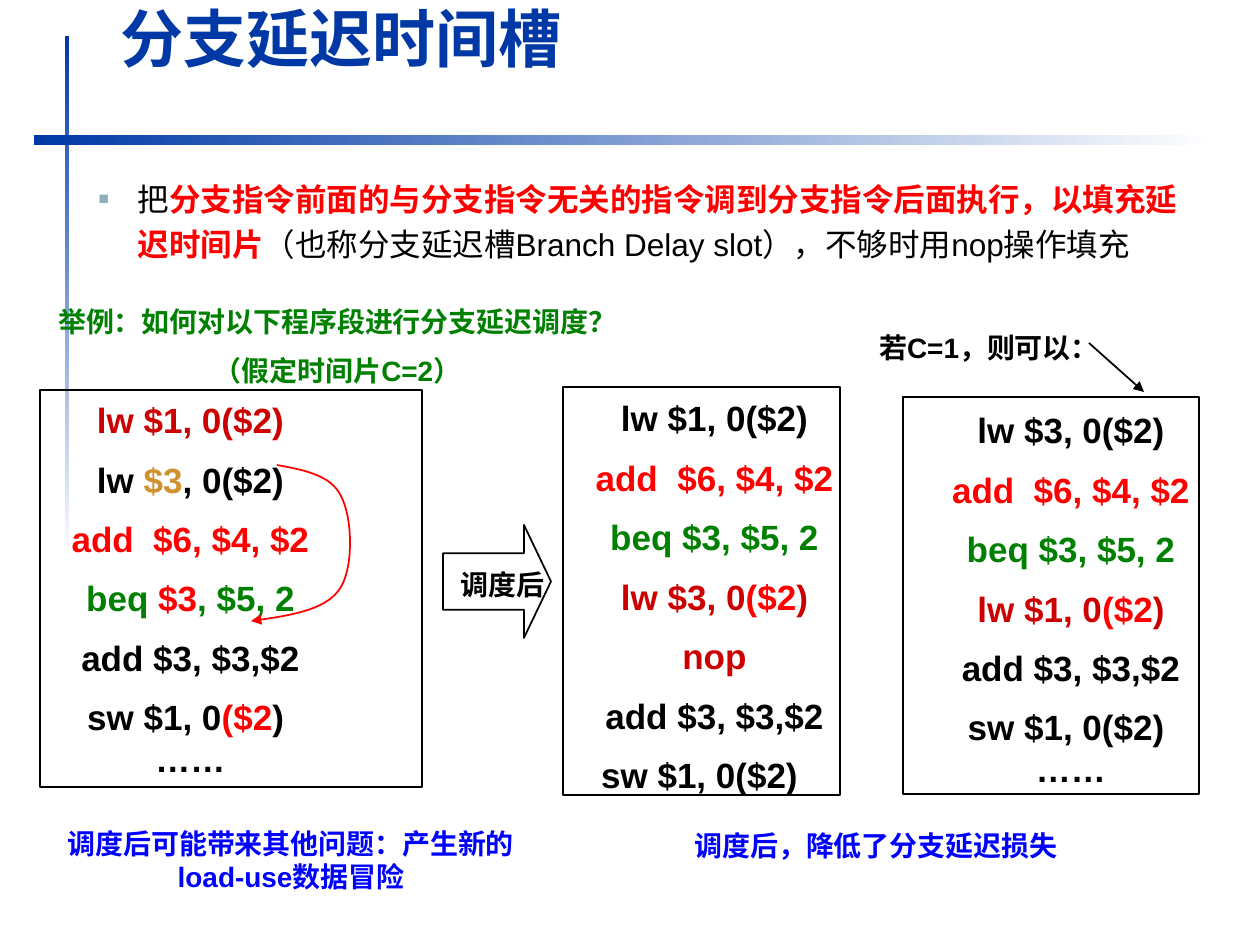
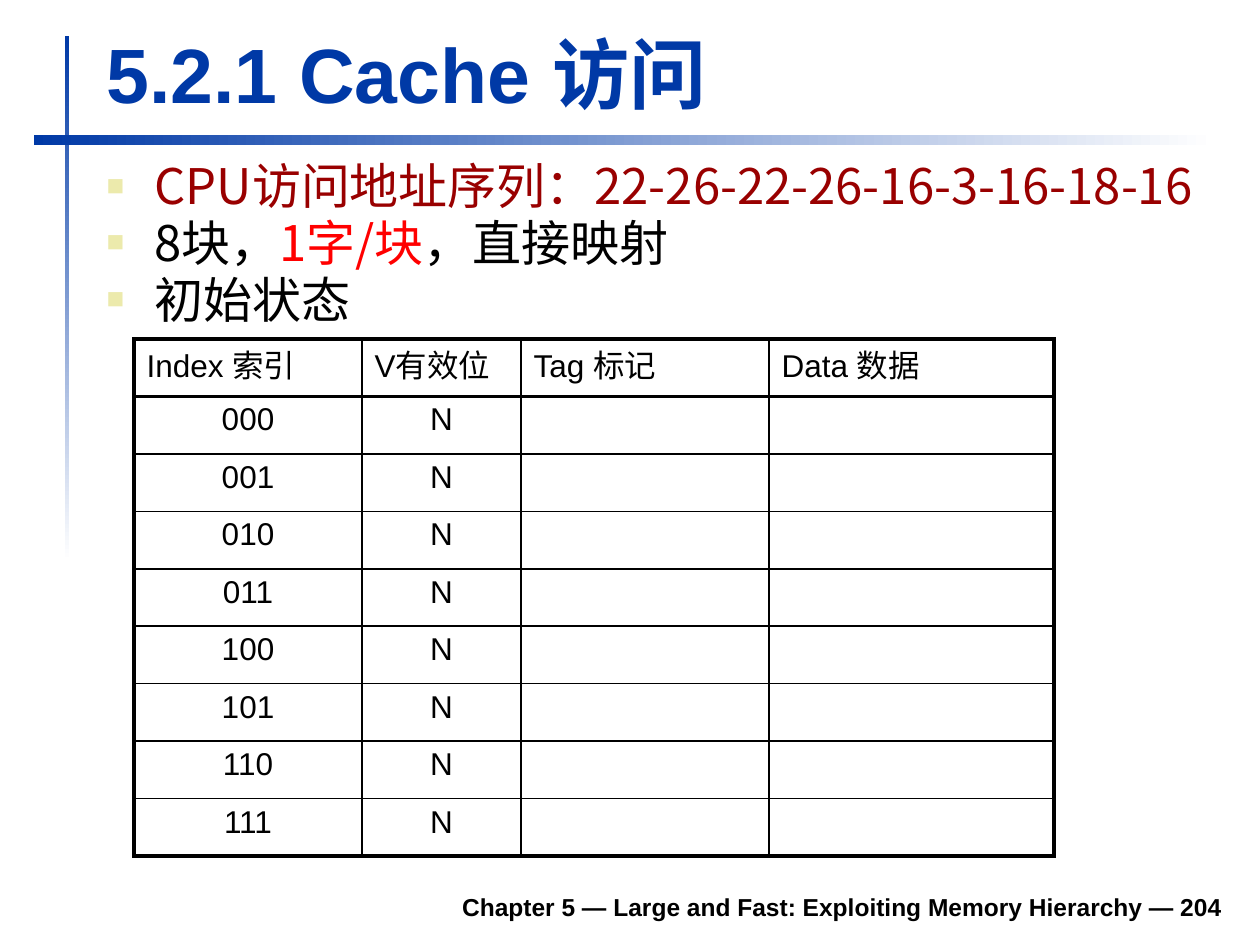
from lxml import etree
from pptx import Presentation
from pptx import util as u
from pptx.dml.color import RGBColor
from pptx.enum import shapes, text
from pptx.oxml.ns import qn

BLUE = RGBColor(0x00, 0x39, 0xA6)
WHITE = RGBColor(0xFF, 0xFF, 0xFF)
BLACK = RGBColor(0x00, 0x00, 0x00)
RED = RGBColor(0xFF, 0x00, 0x00)
DARK_RED = RGBColor(0xCC, 0x00, 0x00)
MAROON = RGBColor(0x99, 0x00, 0x00)
GREEN = RGBColor(0x00, 0x80, 0x00)
GOLD = RGBColor(0xCF, 0x92, 0x2F)
NOTE_BLUE = RGBColor(0x00, 0x00, 0xFF)
BULLET_GREY = RGBColor(0x91, 0xAF, 0xBF)
BULLET_CREAM = RGBColor(0xEC, 0xEA, 0xAC)

SANS = "Arial"
CJK_SANS = "Noto Sans CJK SC"
CENTER = text.PP_ALIGN.CENTER
DOTS = "……"

ADD_6 = [("add  $6, $4, $2", RED)]
ADD_3 = "add $3, $3,$2"
BEQ = [("beq $3, $5, 2", GREEN)]


def px(length):
    return u.Emu(round(length * 914400 / 126))


def child(parent, tag, **attributes):
    element = etree.SubElement(parent, qn(tag))
    for name, value in attributes.items():
        element.set(name, str(value))
    return element


def add_bullet(paragraph, color, percent, left, hanging):
    properties = paragraph._p.get_or_add_pPr()
    properties.set("marL", str(px(left)))
    properties.set("indent", str(-px(hanging)))
    child(child(properties, "a:buClr"), "a:srgbClr", val=color)
    child(properties, "a:buSzPct", val=percent * 1000)
    child(properties, "a:buFont", typeface="Arial")
    child(properties, "a:buChar", char="■")


def write(frame, paragraphs, size=18, color=BLACK, bold=False, font=SANS,
          align=text.PP_ALIGN.LEFT, spacing=1.0, before=0, bullet=None,
          anchor=text.MSO_ANCHOR.TOP):
    frame.word_wrap = True
    frame.auto_size = text.MSO_AUTO_SIZE.NONE
    frame.vertical_anchor = anchor
    for index, runs in enumerate(paragraphs):
        paragraph = frame.add_paragraph() if index else frame.paragraphs[0]
        if bullet:
            add_bullet(paragraph, *bullet)
        paragraph.alignment = align
        paragraph.line_spacing = spacing
        paragraph.space_before = u.Pt(before if index else 0)
        for content, *style in [(runs,)] if isinstance(runs, str) else runs:
            run = paragraph.add_run()
            run.text = content
            run.font.size = u.Pt(size)
            run.font.name = font
            run.font.color.rgb = style[0] if style else color
            run.font.bold = style[1] if len(style) > 1 else bold
            child(run.font._element, "a:ea", typeface=font)


def add_text(slide, box, paragraphs, **style):
    shape = slide.shapes.add_textbox(*map(px, box))
    write(shape.text_frame, paragraphs, **style)
    return shape


def fill_placeholder(shape, box, paragraphs, **style):
    shape.left, shape.top, shape.width, shape.height = map(px, box)
    write(shape.text_frame, paragraphs, **style)


def add_title(slide, box, title, size):
    fill_placeholder(slide.shapes.title, box, [title], size=size, color=BLUE,
                     bold=True, anchor=text.MSO_ANCHOR.BOTTOM)


def add_band(slide, box, angle):
    band = slide.shapes.add_shape(shapes.MSO_SHAPE.RECTANGLE, *map(px, box))
    band.shadow.inherit = False
    band.line.fill.background()
    band.fill.gradient()
    band.fill.gradient_angle = angle
    for stop, color in zip(band.fill.gradient_stops, (BLUE, WHITE)):
        stop.color.rgb = color
    slide.shapes.element.remove(band.element)
    slide.shapes.element.insert(2, band.element)


def new_slide(presentation):
    slide = presentation.slides.add_slide(presentation.slide_layouts[1])
    add_band(slide, (34, 135, 1181, 10), 0)
    add_band(slide, (65, 36, 4, 525), 270)
    return slide


def outline(shape, color=BLACK):
    shape.line.color.rgb = color
    shape.line.width = u.Pt(1)


def add_outline_shape(slide, kind, box):
    shape = slide.shapes.add_shape(kind, *map(px, box))
    shape.shadow.inherit = False
    shape.fill.background()
    outline(shape)
    return shape


def add_arrowhead(shape):
    child(shape.element.find(".//" + qn("a:ln")), "a:tailEnd", type="triangle")


def add_arrow(slide, start, end):
    arrow = slide.shapes.add_connector(shapes.MSO_CONNECTOR.STRAIGHT,
                                       *map(px, start + end))
    outline(arrow)
    add_arrowhead(arrow)
    child(arrow.element.spPr, "a:effectLst")


def bezier(start, first, second, end, steps=16):
    for step in range(1, steps + 1):
        t = step / steps
        weights = ((1 - t) ** 3, 3 * t * (1 - t) ** 2, 3 * t * t * (1 - t), t ** 3)
        points = (start, first, second, end)
        yield tuple(px(sum(w * p[axis] for w, p in zip(weights, points)))
                    for axis in (0, 1))


def add_curved_arrow(slide, points, color):
    builder = slide.shapes.build_freeform(*map(px, points[0]))
    for index in range(0, len(points) - 1, 3):
        builder.add_line_segments(bezier(*points[index:index + 4]), close=False)
    curve = builder.convert_to_shape()
    curve.shadow.inherit = False
    curve.fill.background()
    outline(curve, color)
    add_arrowhead(curve)


def add_code_panel(slide, frame_box, text_box, lines):
    code = add_text(slide, text_box, lines, size=20, bold=True, align=CENTER,
                    spacing=1.2, before=5.2)
    add_outline_shape(slide, shapes.MSO_SHAPE.RECTANGLE, frame_box)
    last = code.text_frame.paragraphs[-1]
    if last.text == DOTS:
        last.line_spacing = 1.0
        last.space_before = u.Pt(0)
    else:
        last._p.get_or_add_pPr().set("marR", str(px(30)))


def add_borders(cell, widths):
    properties = cell._tc.get_or_add_tcPr()
    for side, width in zip("LRTB", widths):
        line = child(properties, f"a:ln{side}", w=u.Pt(width))
        child(child(line, "a:solidFill"), "a:srgbClr", val=BLACK)


def add_cache_table(slide, box, widths, header, rows):
    grid = [header] + rows
    table = slide.shapes.add_table(len(grid), len(header), *map(px, box)).table
    table.first_row = table.horz_banding = False
    for column, width in zip(table.columns, widths):
        column.width = px(width)
    last_row, last_column = len(grid) - 1, len(header) - 1
    for r, values in enumerate(grid):
        table.rows[r].height = px(box[3]) // len(grid)
        for c, value in enumerate(values):
            cell = table.cell(r, c)
            add_borders(cell, (2.25 if c == 0 else 1,
                               2.25 if c == last_column else 1,
                               2.25 if r == 0 else 1.5 if r == 1 else 1,
                               2.25 if r == last_row else 1.5 if r == 0 else 1))
            cell.fill.background()
            cell.margin_top = px(6 if r else 10)
            if value:
                write(cell.text_frame, [value], align=CENTER if r else text.PP_ALIGN.LEFT)


def build_delay_slot_slide(presentation):
    slide = new_slide(presentation)
    add_title(slide, (108, -9, 946, 90), "分支延迟时间槽", 36)
    fill_placeholder(slide.placeholders[1], (23, 166, 1177, 200), [[
        ("把",),
        ("分支指令前面的与分支指令无关的指令调到分支指令后面执行，以填充延迟时间片", RED, True),
        ("（也称分支延迟槽Branch Delay slot），不够时用nop操作填充",),
    ]], spacing=u.Pt(26), bullet=(BULLET_GREY, 55, 102, 39))

    label = dict(size=16, bold=True, align=CENTER)
    add_text(slide, (39, 298, 597, 97),
             ["举例：如何对以下程序段进行分支延迟调度？", "（假定时间片C=2）"],
             color=GREEN, before=9, **label)
    add_text(slide, (615, 822, 522, 47), ["调度后，降低了分支延迟损失"],
             color=NOTE_BLUE, **label)
    add_text(slide, (30, 820, 522, 81),
             ["调度后可能带来其他问题：产生新的load-use数据冒险"],
             color=NOTE_BLUE, **label)
    add_text(slide, (858, 324, 262, 47), ["若C=1，则可以："], **label)

    add_code_panel(slide, (903, 397, 296, 397), (907, 394, 328, 466), [
        "lw $3, 0($2)", ADD_6, BEQ,
        [("lw $1, 0", DARK_RED), ("($2", RED), (")", DARK_RED)],
        ADD_3, "sw $1, 0($2) ", DOTS])
    add_code_panel(slide, (40, 390, 382, 397), (53, 384, 275, 466), [
        [("lw $1, 0($2)", DARK_RED)],
        [("lw ",), ("$3", GOLD), (", 0($2)",)],
        ADD_6,
        [("beq ", GREEN), ("$3", RED), (", $5, 2", GREEN)],
        ADD_3,
        [("sw $1, 0",), ("($2", RED), (") ",)], DOTS])
    add_code_panel(slide, (563, 387, 277, 408), (568, 382, 293, 420), [
        "lw $1, 0($2)", ADD_6, BEQ,
        [("lw $3, 0", DARK_RED), ("($2", RED), (")", DARK_RED)],
        [("nop", DARK_RED)], ADD_3, "sw $1, 0($2)"])

    add_curved_arrow(slide, [(277, 465), (304, 470), (331, 475), (341, 496),
                             (353, 518), (354, 570), (339, 590),
                             (324, 611), (287, 616), (251, 621)], RED)
    block_arrow = add_outline_shape(slide, shapes.MSO_SHAPE.RIGHT_ARROW,
                                    (443, 525, 108, 113))
    block_arrow.adjustments[0] = 0.5
    block_arrow.adjustments[1] = 0.25
    add_text(slide, (442, 561, 121, 47), ["调度后"], **label)
    add_arrow(slide, (1089, 343), (1144, 392))


def build_cache_slide(presentation):
    slide = new_slide(presentation)
    add_title(slide, (94, 20, 1138, 105), "5.2.1 Cache 访问", 44)
    fill_placeholder(slide.placeholders[1], (94, 151, 1156, 184), [
        [("CPU访问地址序列：22-26-22-26-16-3-16-18-16", MAROON)],
        [("8块，",), ("1字/块", RED), ("，直接映射",)],
        "初始状态",
    ], size=28, font=CJK_SANS, spacing=u.Pt(32.5), bullet=(BULLET_CREAM, 60, 48, 48))
    add_cache_table(slide, (134, 339, 920, 517), (228, 159, 248, 285),
                    ["Index 索引", "V有效位", "Tag 标记", "Data 数据"],
                    [[f"{index:03b}", "N", "", ""] for index in range(8)])
    add_text(slide, (233, 879, 1002, 49),
             ["Chapter 5 — Large and Fast: Exploiting Memory Hierarchy — 204"],
             size=14, bold=True, align=text.PP_ALIGN.RIGHT,
             anchor=text.MSO_ANCHOR.BOTTOM)


def main():
    presentation = Presentation()
    presentation.slide_width = px(1260)
    presentation.slide_height = px(945)
    build_delay_slot_slide(presentation)
    build_cache_slide(presentation)
    presentation.save("out.pptx")


if __name__ == "__main__":
    main()
